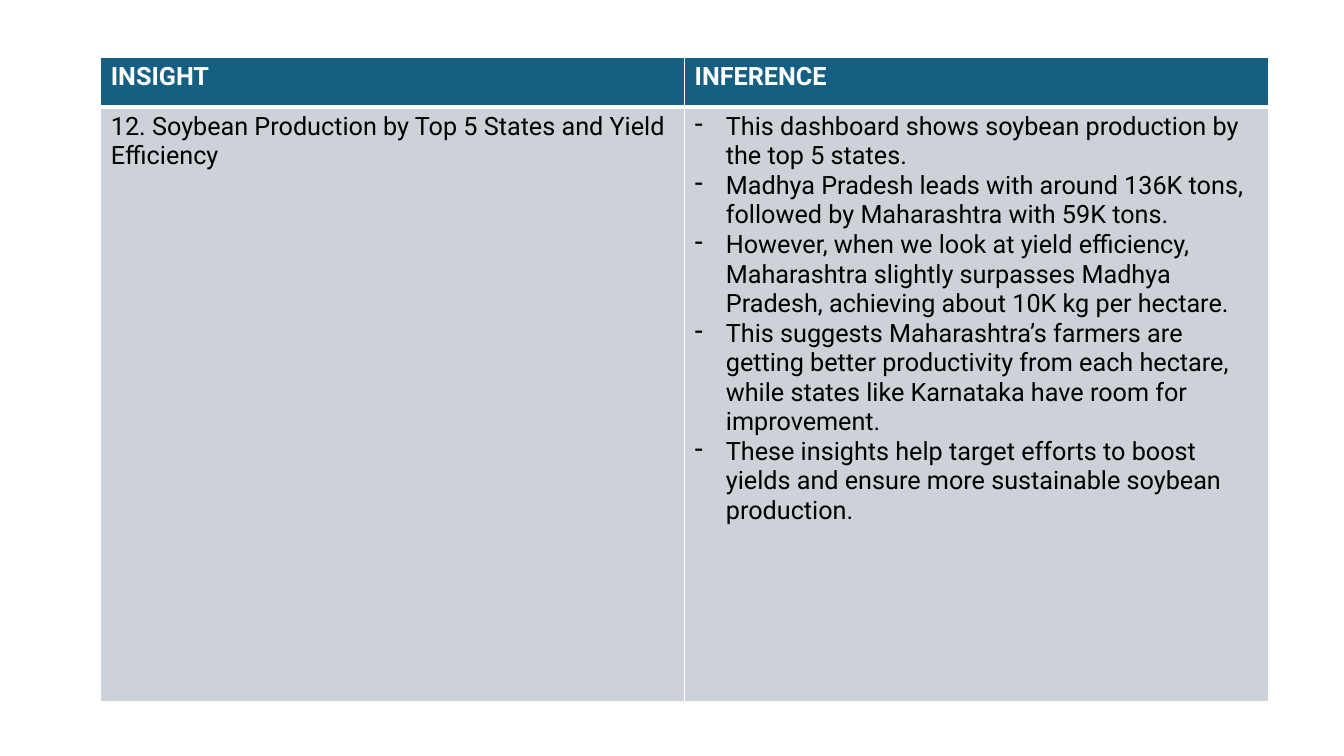
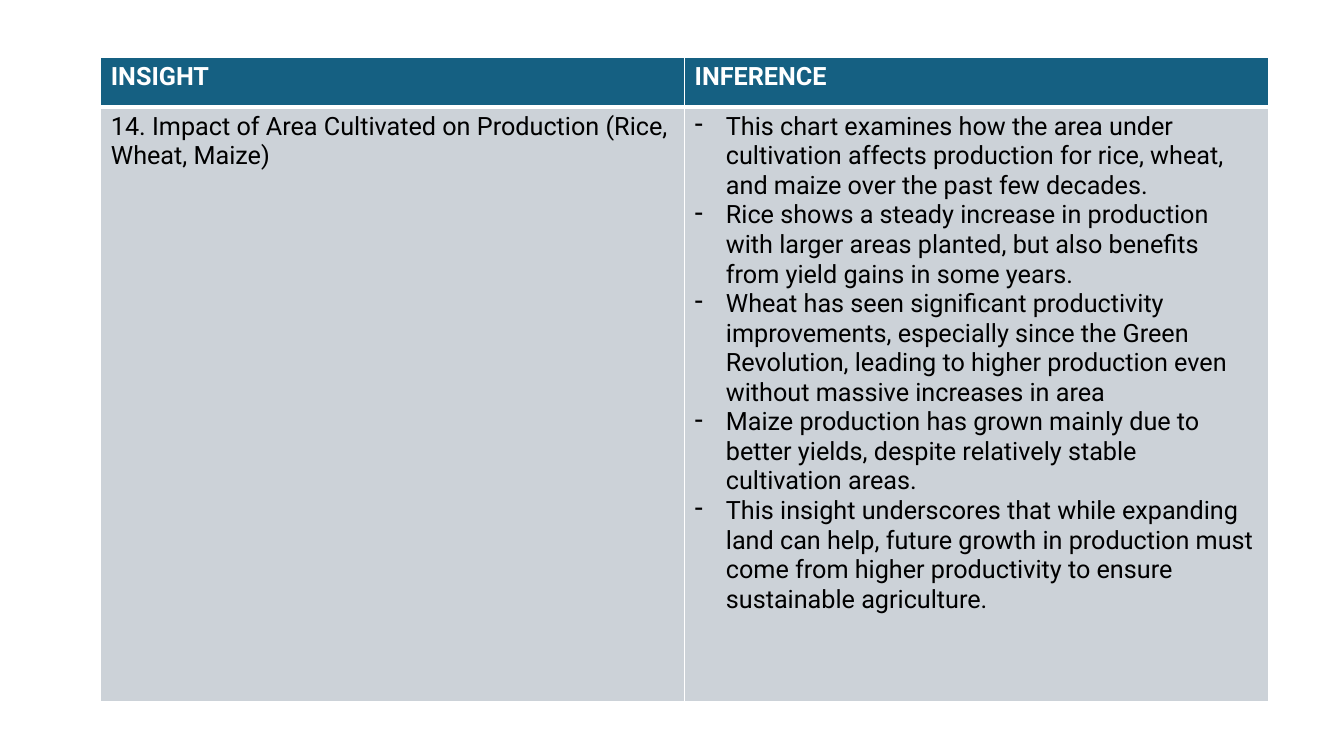
"""Build two insight and inference table slides."""
import dataclasses

import pptx
import pptx.dml.color
import pptx.oxml.ns
import pptx.util
from lxml import etree

Inches = pptx.util.Inches
Pt = pptx.util.Pt


@dataclasses.dataclass(frozen=True)
class Theme:
    """Shared colours, type and line widths."""
    header_fill: str = "156082"
    body_fill: str = "CCD2D8"
    header_text: str = "FFFFFF"
    body_text: str = "000000"
    border: str = "FFFFFF"
    font: str = "Roboto"
    text_size: float = 18
    thin_line: float = 1
    thick_line: float = 3
    bullet_indent: float = 0.31


THEME = Theme()
HEADINGS = ["INSIGHT", "INFERENCE"]
INSIGHTS = [
    ("12. Soybean Production by Top 5 States and Yield Efficiency", [
        "This dashboard shows soybean production by the top 5 states.",
        "Madhya Pradesh leads with around 136K tons, followed by Maharashtra with 59K tons.",
        "However, when we look at yield efficiency, Maharashtra slightly surpasses Madhya "
        "Pradesh, achieving about 10K kg per hectare.",
        "This suggests Maharashtra’s farmers are getting better productivity from each "
        "hectare, while states like Karnataka have room for improvement.",
        "These insights help target efforts to boost yields and ensure more sustainable "
        "soybean production.",
    ]),
    ("14. Impact of Area Cultivated on Production (Rice, Wheat, Maize)", [
        "This chart examines how the area under cultivation affects production for rice, "
        "wheat, and maize over the past few decades.",
        "Rice shows a steady increase in production with larger areas planted, but also "
        "benefits from yield gains in some years.",
        "Wheat has seen significant productivity improvements, especially since the Green "
        "Revolution, leading to higher production even without massive increases in area",
        "Maize production has grown mainly due to better yields, despite relatively stable "
        "cultivation areas.",
        "This insight underscores that while expanding land can help, future growth in "
        "production must come from higher productivity to ensure sustainable agriculture.",
    ]),
]


def add_element(parent, tag, **attributes):
    """Append a drawing element with its attributes."""
    return etree.SubElement(parent, pptx.oxml.ns.qn(tag), attributes)


def set_borders(cell, top, bottom):
    """Draw the four borders of a cell, widths in points."""
    properties = cell._tc.get_or_add_tcPr()
    widths = {"L": THEME.thin_line, "R": THEME.thin_line, "T": top, "B": bottom}
    for side, width in widths.items():
        line = add_element(properties, f"a:ln{side}", w=str(Pt(width)))
        fill = add_element(line, "a:solidFill")
        add_element(fill, "a:srgbClr", val=THEME.border)


def set_bullet(paragraph):
    """Give a paragraph a hanging dash."""
    properties = paragraph._p.get_or_add_pPr()
    indent = Inches(THEME.bullet_indent)
    properties.set("marL", str(indent))
    properties.set("indent", str(-indent))
    add_element(properties, "a:buChar", char="-")


def fill_cell(cell, texts, header=False, bulleted=False):
    """Style a cell and write one paragraph per text."""
    if header:
        fill_color, text_color = THEME.header_fill, THEME.header_text
        set_borders(cell, THEME.thin_line, THEME.thick_line)
    else:
        fill_color, text_color = THEME.body_fill, THEME.body_text
        set_borders(cell, THEME.thick_line, THEME.thin_line)
    cell.fill.solid()
    cell.fill.fore_color.rgb = pptx.dml.color.RGBColor.from_string(fill_color)
    frame = cell.text_frame
    for index, text in enumerate(texts):
        paragraph = frame.add_paragraph() if index else frame.paragraphs[0]
        if bulleted:
            set_bullet(paragraph)
        run = paragraph.add_run()
        run.text = text
        run.font.name = THEME.font
        run.font.size = Pt(THEME.text_size)
        run.font.bold = header
        run.font.color.rgb = pptx.dml.color.RGBColor.from_string(text_color)


def add_insight_slide(presentation, insight, inferences):
    """Add a slide that sets an insight beside its inferences."""
    slide = presentation.slides.add_slide(presentation.slide_layouts[6])
    table = slide.shapes.add_table(
        2, 2, Inches(1), Inches(0.57), Inches(11.58), Inches(6.39)).table
    for row, height in zip(table.rows, (0.49, 5.9)):
        row.height = Inches(height)
    for column, heading in enumerate(HEADINGS):
        fill_cell(table.cell(0, column), [heading], header=True)
    fill_cell(table.cell(1, 0), [insight])
    fill_cell(table.cell(1, 1), inferences, bulleted=True)


def main():
    """Build and save the presentation."""
    presentation = pptx.Presentation()
    presentation.slide_width = Inches(13.33)
    presentation.slide_height = Inches(7.5)
    for insight, inferences in INSIGHTS:
        add_insight_slide(presentation, insight, inferences)
    presentation.save("out.pptx")


if __name__ == "__main__":
    main()
